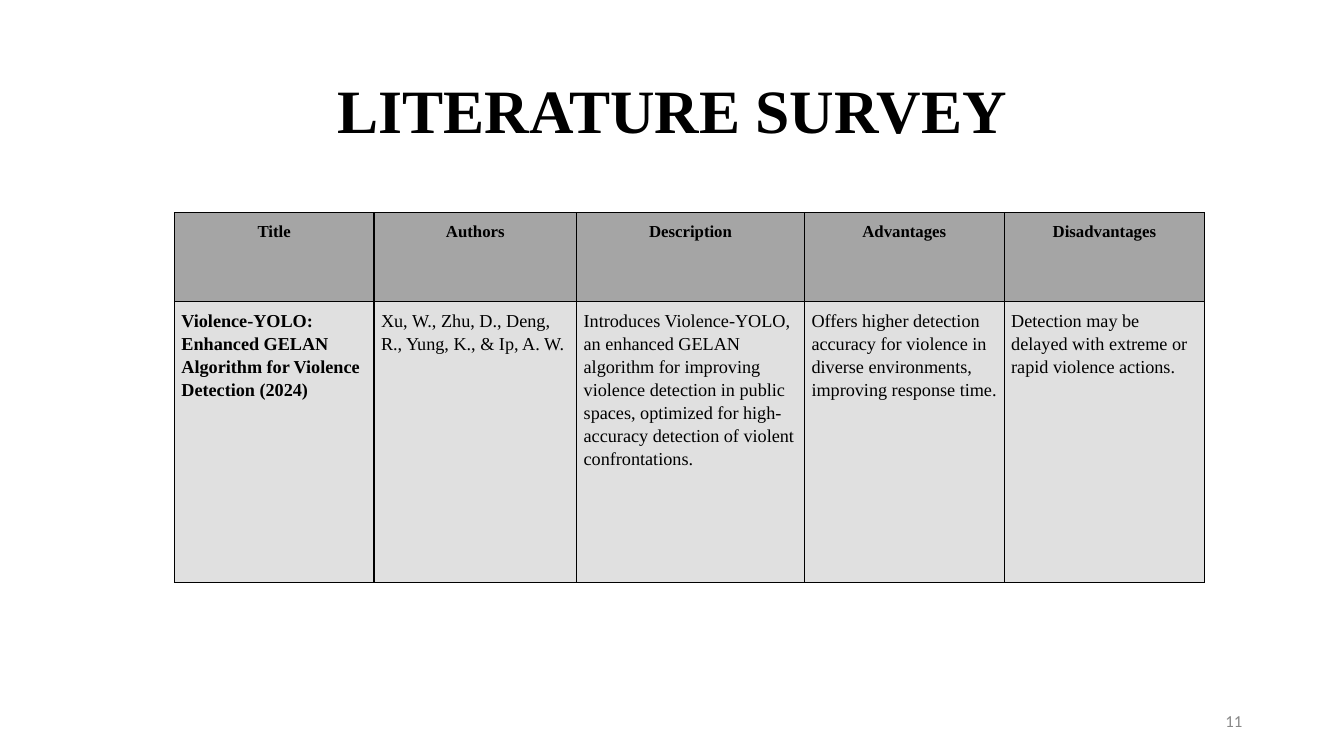
from dataclasses import dataclass

from lxml import etree
from pptx import Presentation
from pptx.dml.color import RGBColor
from pptx.enum.text import MSO_ANCHOR as Anchor, PP_ALIGN as Align
from pptx.oxml.ns import qn
from pptx.util import Inches, Pt


@dataclass(frozen=True)
class Theme:
    serif: str = "Times New Roman"
    sans: str = "Calibri"
    black: str = "000000"
    page_gray: str = "888888"
    header_fill: str = "A5A5A5"
    body_fill: str = "E0E0E0"
    title_size: int = 44
    header_size: int = 12
    body_size: int = 13
    page_size: int = 12
    border: int = 1


theme = Theme()


def write(frame, text, font, size, color, bold, align, spacing):
    """Fill the first paragraph of a text frame with one styled run."""
    frame.word_wrap = True
    paragraph = frame.paragraphs[0]
    paragraph.alignment = align
    paragraph.line_spacing = spacing
    run = paragraph.add_run()
    run.text = text
    run.font.name = font
    run.font.size = Pt(size)
    run.font.bold = bold
    run.font.color.rgb = RGBColor.from_string(color)


def add_borders(cell):
    properties = cell._tc.get_or_add_tcPr()
    for side in ("a:lnL", "a:lnR", "a:lnT", "a:lnB"):
        line = etree.SubElement(properties, qn(side), w=str(Pt(theme.border)))
        fill = etree.SubElement(line, qn("a:solidFill"))
        etree.SubElement(fill, qn("a:srgbClr"), val=theme.black)


presentation = Presentation()
presentation.slide_width = Inches(13.33)
presentation.slide_height = Inches(7.5)
slide = presentation.slides.add_slide(presentation.slide_layouts[6])

# Title and page number
labels = [
    ((0.92, 0.4, 11.5, 1.45), "LITERATURE SURVEY", theme.serif,
     theme.title_size, theme.black, True, Align.CENTER, 0.9),
    ((9.42, 6.95, 3, 0.4), "11", theme.sans,
     theme.page_size, theme.page_gray, False, Align.RIGHT, 1.0),
]
for place, *style in labels:
    box = slide.shapes.add_textbox(*map(Inches, place))
    box.text_frame.vertical_anchor = Anchor.MIDDLE
    write(box.text_frame, *style)

# Survey table
survey = [
    ["Title", "Authors", "Description", "Advantages", "Disadvantages"],
    [
        "Violence-YOLO: Enhanced GELAN Algorithm for Violence Detection (2024)",
        "Xu, W., Zhu, D., Deng, R., Yung, K., & Ip, A. W.",
        "Introduces Violence-YOLO, an enhanced GELAN algorithm for improving "
        "violence detection in public spaces, optimized for high-accuracy "
        "detection of violent confrontations.",
        "Offers higher detection accuracy for violence in diverse "
        "environments, improving response time.",
        "Detection may be delayed with extreme or rapid violence actions.",
    ],
]
column_widths = [1.98, 2.01, 2.26, 1.98, 1.99]
row_heights = [0.88, 2.79]

table = slide.shapes.add_table(
    len(row_heights), len(column_widths), Inches(1.73), Inches(2.11),
    Inches(sum(column_widths)), Inches(sum(row_heights))).table
for column, width in zip(table.columns, column_widths):
    column.width = Inches(width)
for row, height in zip(table.rows, row_heights):
    row.height = Inches(height)

for row_index, texts in enumerate(survey):
    is_header = row_index == 0
    row_fill = theme.header_fill if is_header else theme.body_fill
    size = theme.header_size if is_header else theme.body_size
    align = Align.CENTER if is_header else Align.LEFT
    for column_index, text in enumerate(texts):
        cell = table.cell(row_index, column_index)
        cell.margin_left = cell.margin_right = Inches(0.07)
        cell.margin_top = cell.margin_bottom = Inches(0.07)
        add_borders(cell)
        cell.fill.solid()
        cell.fill.fore_color.rgb = RGBColor.from_string(row_fill)
        write(cell.text_frame, text, theme.serif, size, theme.black,
              is_header or column_index == 0, align, 1.15)

presentation.save("out.pptx")
